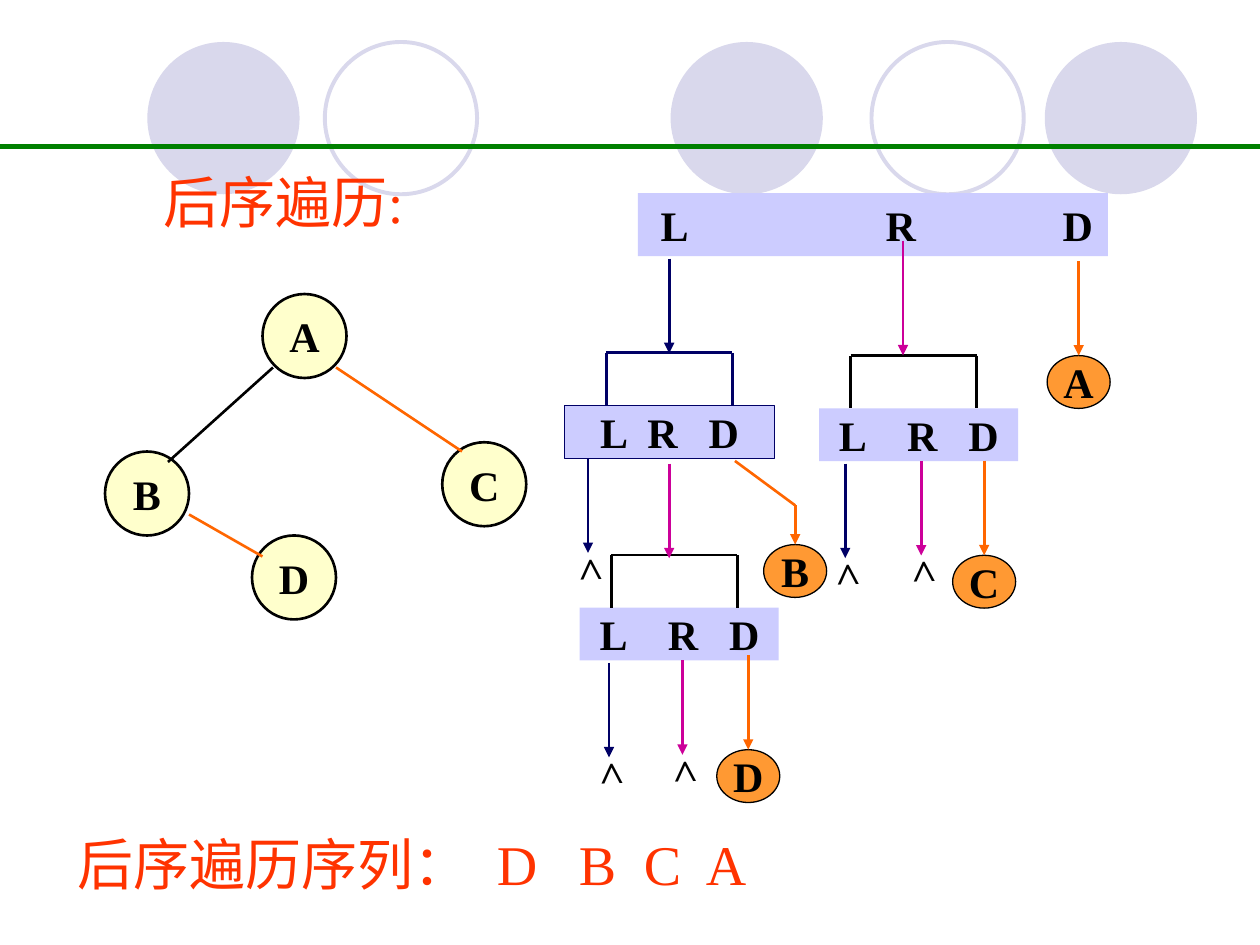
from lxml import etree
from pptx import Presentation, util as u
from pptx.dml.color import RGBColor
from pptx.enum import shapes as sh, text as tx
from pptx.oxml import ns

Pt = u.Pt
HUES = {"mist": "D9D8EC", "green": "008000", "cream": "FFFFCC", "black": "000000",
        "orange": "FF6600", "amber": "FF9933", "lilac": "CCCCFF", "navy": "000066",
        "pink": "CC0099", "red": "FF3300"}
OVAL, RECT = sh.MSO_SHAPE.OVAL, sh.MSO_SHAPE.RECTANGLE


def add(parent, tag, **attrs):
    return etree.SubElement(parent, ns.qn(tag), attrs)


class Board:
    """Holds the style and the current slide; all lengths are in points."""
    font, small, large = "Times New Roman", 24, 32
    node_size, leaf_w, leaf_h = 48, 36, 30.2
    reach, fork_w, fork_h = 54, 72, 30.2

    def __init__(self, slide):
        self.items = slide.shapes

    def hue(self, name):
        return RGBColor.from_string(HUES[name])

    def letter(self, shape, words, size, hue="black", bold=True, tabs=()):
        """Put one line of text in a shape, with left tab stops if given."""
        frame = shape.text_frame
        frame.text = words
        par = frame.paragraphs[0]
        if tabs:
            stops = add(par._p.get_or_add_pPr(), "a:tabLst")
            for stop in tabs:
                add(stops, "a:tab", pos=str(Pt(stop)), algn="l")
        font = par.runs[0].font
        font.name, font.size, font.bold = self.font, Pt(size), bold
        font.color.rgb = self.hue(hue)
        return frame, par

    def shape(self, kind, x, y, w, h, fill=None, line=None, width=0.75):
        item = self.items.add_shape(kind, Pt(x), Pt(y), Pt(w), Pt(h))
        item.shadow.inherit = False
        if fill:
            item.fill.solid()
            item.fill.fore_color.rgb = self.hue(fill)
        else:
            item.fill.background()
        if line:
            item.line.color.rgb = self.hue(line)
            item.line.width = Pt(width)
        else:
            item.line.fill.background()
        return item

    def line(self, x1, y1, x2, y2, hue="black", width=1.5, head=False):
        item = self.items.add_connector(
            sh.MSO_CONNECTOR.STRAIGHT, Pt(x1), Pt(y1), Pt(x2), Pt(y2))
        item.line.color.rgb = self.hue(hue)
        item.line.width = Pt(width)
        if head:
            add(item.line._get_or_add_ln(), "a:tailEnd", type="triangle")
        add(item._element.spPr, "a:effectLst")
        return item

    def drop(self, x, y, hue, reach=reach):
        return self.line(x, y, x, y + reach, hue, head=True)

    def disc(self, x, y, w, h, name, fill, width):
        item = self.shape(OVAL, x, y, w, h, fill, "black", width)
        frame, par = self.letter(item, name, self.small)
        frame.word_wrap = False
        frame.vertical_anchor = tx.MSO_ANCHOR.MIDDLE
        par.alignment = tx.PP_ALIGN.CENTER
        return item

    def node(self, x, y, name):
        self.disc(x, y, self.node_size, self.node_size, name, "cream", 1.5)

    def leaf(self, mid, y, name, reach=reach):
        """Visited node with the arrow that leads to its top."""
        item = self.disc(mid - self.leaf_w / 2, y, self.leaf_w, self.leaf_h,
                         name, "amber", 0.75)
        self.drop(mid, y - reach, "orange", reach).end_connect(item, 0)

    def empty(self, x, y, hue):
        """Arrow to an empty subtree, marked by a turned angle sign."""
        self.drop(x, y, hue)
        box = self.items.add_textbox(
            Pt(x - 15), Pt(y + self.reach - 9.4), Pt(30), Pt(36))
        box.rotation = 268.3
        self.letter(box, ">", self.small)[0].word_wrap = True

    def bar(self, x, y, w, h, inset, tabs, line=None):
        """Step box whose letters L, R, D stand on tab stops."""
        item = self.shape(RECT, x, y, w, h, "lilac", line)
        frame, par = self.letter(item, "L\tR\tD", self.small, tabs=tabs)
        frame.word_wrap = True
        frame.margin_left, frame.margin_right = Pt(inset), 0
        frame.vertical_anchor = tx.MSO_ANCHOR.MIDDLE
        par.alignment = tx.PP_ALIGN.LEFT

    def fork(self, x, y, hue="black"):
        end = x + self.fork_w
        self.line(x, y, end, y, hue)
        for side in (x, end):
            self.line(side, y, side, y + self.fork_h, hue)

    def label(self, x, y, w, words, tabs=()):
        box = self.items.add_textbox(Pt(x), Pt(y), Pt(w), Pt(46))
        frame, _ = self.letter(box, words, self.large, "red", False, tabs)
        frame.word_wrap = True
        frame.margin_right = 0


def main():
    deck = Presentation()
    deck.slide_width, deck.slide_height = Pt(720), Pt(540)
    board = Board(deck.slides.add_slide(deck.slide_layouts[6]))

    for x in (84.2, 383.2, 597):
        board.shape(OVAL, x, 24, 87, 87, "mist")
    for x in (185.6, 498):
        board.shape(OVAL, x, 24, 87, 87, None, "mist", 2.25)
    board.line(0, 83.8, 720, 83.8, "green", 2.5)

    for x, y, name in ((150, 168, "A"), (144, 306, "D"),
                       (60, 258, "B"), (252.7, 252.7, "C")):
        board.node(x, y, name)
    board.line(156, 210, 96, 264)
    board.line(192, 210, 264, 258, "orange")
    board.line(108, 294, 150, 318, "orange")

    narrow = (113.8, 30.2, 11.4, (39, 74))
    board.bar(364.5, 110.4, 268.6, 36, 13, (128.6, 229.7))
    board.bar(322.6, 231.8, 120.2, 30.2, 20.3, (27, 62), "navy")
    board.bar(331.2, 347.2, *narrow)
    board.bar(468, 233.3, *narrow)

    board.fork(346.4, 201.6, "navy")
    board.fork(349.4, 317.2)
    board.fork(486, 203.2)
    board.drop(382.4, 147.8, "navy")
    board.drop(382.4, 265, "pink")
    board.drop(516, 137.5, "pink", 65.6)

    for x, y, hue in ((336, 262, "navy"), (390, 377.3, "pink"), (348, 378.8, "navy"),
                      (526.4, 263.4, "pink"), (483, 265, "navy")):
        board.empty(x, y, hue)

    for mid, y, name in ((616.4, 203.2, "A"), (427.6, 428.4, "D"), (562.4, 317.3, "C")):
        board.leaf(mid, y, name)
    board.leaf(454.4, 311.2, "B", 22.4)
    board.line(420, 263.4, 454.4, 288.8, "orange")

    board.label(37.4, 470.2, 398, "后序遍历序列：\tD\tB\tC\tA", (239.4, 286.3, 323.4, 358.9))
    board.label(86.4, 92.2, 159, "后序遍历:")
    deck.save("out.pptx")


if __name__ == "__main__":
    main()
